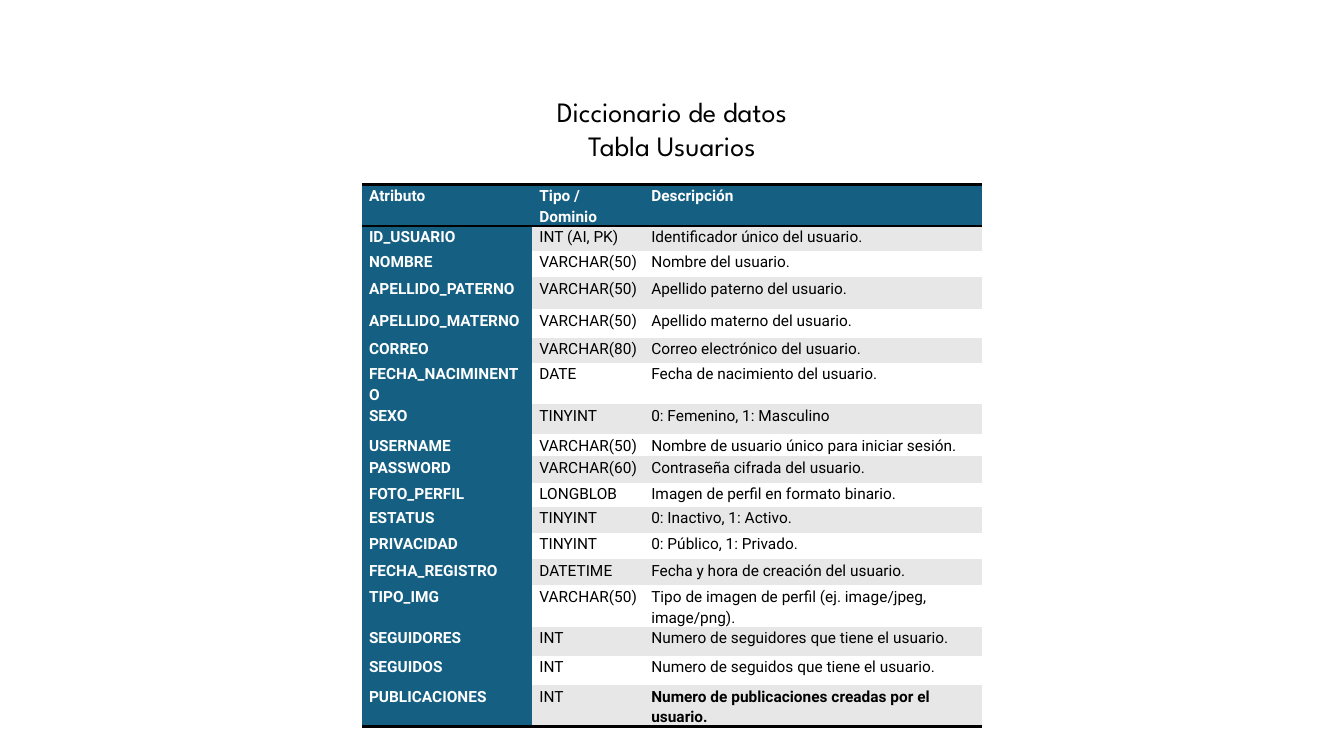
from lxml import etree
from pptx import Presentation
from pptx.dml.color import RGBColor
from pptx.enum.text import MSO_ANCHOR, MSO_AUTO_SIZE, PP_ALIGN
from pptx.oxml.ns import qn
from pptx.util import Inches, Pt

CENTER = PP_ALIGN.CENTER
TOP = MSO_ANCHOR.TOP
NO_AUTOFIT = MSO_AUTO_SIZE.NONE
NO_GRID_STYLE = "{2D5ABB26-0587-4C30-8999-92F81FD0307C}"
COLORS = {"black": "000000", "white": "FFFFFF", "blue": "156082", "gray": "E7E7E7"}

TITLE_LINES = ["Diccionario de datos", "Tabla Usuarios"]
COLUMN_WIDTHS = [1.69, 1.11, 3.35]
ROWS = [
    (0.26, "Atributo", "Tipo / Dominio", "Descripción"),
    (0.25, "ID_USUARIO", "INT (AI, PK)", "Identificador único del usuario."),
    (0.26, "NOMBRE", "VARCHAR(50)", "Nombre del usuario."),
    (0.32, "APELLIDO_PATERNO", "VARCHAR(50)", "Apellido paterno del usuario."),
    (0.28, "APELLIDO_MATERNO", "VARCHAR(50)", "Apellido materno del usuario."),
    (0.25, "CORREO", "VARCHAR(80)", "Correo electrónico del usuario."),
    (0.2, "FECHA_NACIMINENTO", "DATE", "Fecha de nacimiento del usuario."),
    (0.3, "SEXO", "TINYINT", "0: Femenino, 1: Masculino"),
    (0.22, "USERNAME", "VARCHAR(50)", "Nombre de usuario único para iniciar sesión."),
    (0.26, "PASSWORD", "VARCHAR(60)", "Contraseña cifrada del usuario."),
    (0.24, "FOTO_PERFIL", "LONGBLOB", "Imagen de perfil en formato binario."),
    (0.26, "ESTATUS", "TINYINT", "0: Inactivo, 1: Activo."),
    (0.26, "PRIVACIDAD", "TINYINT", "0: Público, 1: Privado."),
    (0.26, "FECHA_REGISTRO", "DATETIME", "Fecha y hora de creación del usuario."),
    (0.26, "TIPO_IMG", "VARCHAR(50)", "Tipo de imagen de perfil (ej. image/jpeg, image/png)."),
    (0.29, "SEGUIDORES", "INT", "Numero de seguidores que tiene el usuario."),
    (0.29, "SEGUIDOS", "INT", "Numero de seguidos que tiene el usuario."),
    (0.29, "PUBLICACIONES", "INT", "Numero de publicaciones creadas por el usuario."),
]
LAST_ROW = len(ROWS) - 1
LAST_COLUMN = len(COLUMN_WIDTHS) - 1


def add_run(paragraph, text, font_name, size, color, bold=False):
    run = paragraph.add_run()
    run.text = text
    run.font.name = font_name
    run.font.size = Pt(size)
    run.font.bold = bold
    run.font.color.rgb = RGBColor.from_string(COLORS[color])


def add_border(cell, side):
    line = etree.SubElement(cell._tc.get_or_add_tcPr(), qn(f"a:{side}"), w=str(Pt(2)))
    fill = etree.SubElement(line, qn("a:solidFill"))
    etree.SubElement(fill, qn("a:srgbClr"), val=COLORS["black"])


presentation = Presentation()
presentation.slide_width = Inches(13.33)
presentation.slide_height = Inches(7.5)
slide = presentation.slides.add_slide(presentation.slide_layouts[5])

title = slide.shapes.title
title.left, title.top = Inches(5.16), Inches(0.89)
title.width, title.height = Inches(3.01), Inches(0.77)
title_frame = title.text_frame
title_frame.word_wrap = True
title_frame.auto_size = NO_AUTOFIT
title_frame.vertical_anchor = TOP
for index, text in enumerate(TITLE_LINES):
    paragraph = title_frame.add_paragraph() if index else title_frame.paragraphs[0]
    paragraph.alignment = CENTER
    add_run(paragraph, text, "League Spartan", 20, "black")

table_shape = slide.shapes.add_table(
    len(ROWS), len(COLUMN_WIDTHS), Inches(3.59), Inches(1.83),
    Inches(sum(COLUMN_WIDTHS)), Inches(sum(row[0] for row in ROWS)))
table = table_shape.table
table.horz_banding = False
table._tbl.tblPr.find(qn("a:tableStyleId")).text = NO_GRID_STYLE
for column, width in zip(table.columns, COLUMN_WIDTHS):
    column.width = Inches(width)

for row_index, (height, *texts) in enumerate(ROWS):
    table.rows[row_index].height = Inches(height)
    for column_index, text in enumerate(texts):
        cell = table.cell(row_index, column_index)
        cell.margin_left = cell.margin_right = Inches(0.07)
        cell.margin_top = cell.margin_bottom = Inches(0)
        is_heading = row_index == 0 or column_index == 0
        is_last = row_index == LAST_ROW and column_index == LAST_COLUMN
        if row_index == 0:
            add_border(cell, "lnT")
        if row_index in (0, LAST_ROW):
            add_border(cell, "lnB")
        band = "gray" if row_index % 2 else "white"
        cell.fill.solid()
        cell.fill.fore_color.rgb = RGBColor.from_string(
            COLORS["blue" if is_heading else band])
        paragraph = cell.text_frame.paragraphs[0]
        paragraph.line_spacing = 1.15
        paragraph.space_after = Pt(10)
        add_run(paragraph, text, "Roboto", 11,
                "white" if is_heading else "black", is_heading or is_last)

presentation.save("out.pptx")
